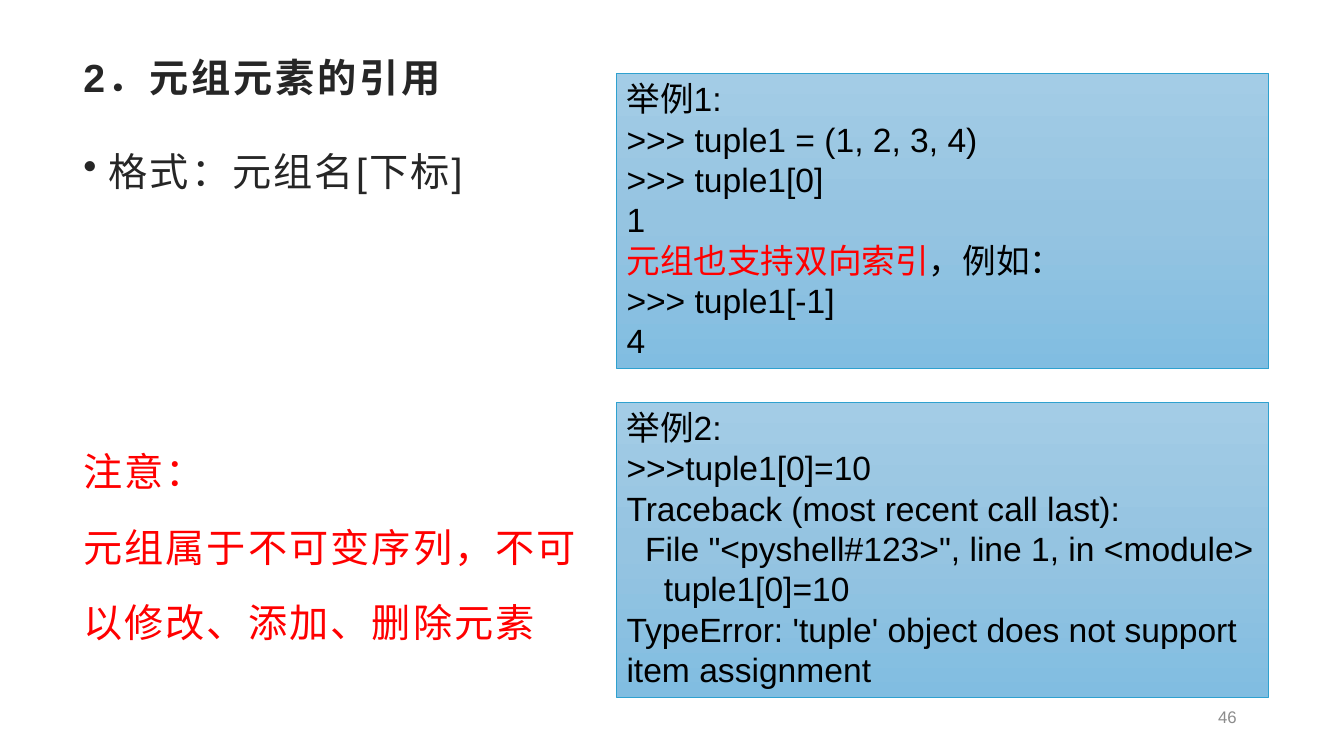
"""Build the slide on referencing tuple elements."""
import copy

import lxml.etree
import pptx
import pptx.dml.color
import pptx.enum.shapes
import pptx.enum.text
import pptx.oxml.ns
import pptx.util
from pptx.util import Cm

COLORS = {
    "heading": "262626",
    "code": "000000",
    "warning": "FF0000",
    "number": "8C8C8C",
    "panel_top": "A3CCE6",
    "panel_middle": "95C4E1",
    "panel_bottom": "81BDE1",
    "panel_edge": "2FA1CF",
}

INDEX_EXAMPLE = """举例1:
>>> tuple1 = (1, 2, 3, 4)
>>> tuple1[0]
1
元组也支持双向索引，例如：
>>> tuple1[-1]
4"""
ERROR_EXAMPLE = """举例2:
>>>tuple1[0]=10
Traceback (most recent call last):
  File "<pyshell#123>", line 1, in <module>
    tuple1[0]=10
TypeError: 'tuple' object does not support item assignment"""
TWO_WAY_INDEX = "元组也支持双向索引"


def rgb(name):
    """Return the named colour."""
    return pptx.dml.color.RGBColor.from_string(COLORS[name])


def format_runs(paragraph, size, color, bold=False, spacing=0):
    """Style each run; spacing is the letter spacing in points."""
    for run in paragraph.runs:
        run.font.name = "Arial"
        run.font.size = pptx.util.Pt(size)
        run.font.bold = bold
        run.font.color.rgb = rgb(color)
        if spacing:
            run.font._element.set("spc", str(int(spacing * 100)))


def add_text(slide, text, left, top, width, height):
    """Add a wrapping text box and return its frame."""
    frame = slide.shapes.add_textbox(Cm(left), Cm(top), Cm(width), Cm(height)).text_frame
    frame.word_wrap = True
    frame.text = text
    return frame


def add_bullet(paragraph):
    """Give the paragraph a hanging round bullet."""
    properties = paragraph._p.get_or_add_pPr()
    properties.set("marL", str(Cm(0.64)))
    properties.set("indent", str(-Cm(0.64)))
    bullet = lxml.etree.SubElement(properties, pptx.oxml.ns.qn("a:buChar"))
    bullet.set("char", "•")


def fill_gradient(panel):
    """Fill the panel with three stops running from top to bottom."""
    panel.fill.gradient()
    panel.fill.gradient_angle = 270
    stops = panel.fill._fill._gradFill.gsLst
    stops.insert(1, copy.deepcopy(stops[0]))
    names = ("panel_top", "panel_middle", "panel_bottom")
    for index, (stop, name) in enumerate(zip(panel.fill.gradient_stops, names)):
        stop.position = index / 2
        stop.color.rgb = rgb(name)


def add_example(slide, code, top):
    """Add a code panel and return its paragraphs."""
    panel = slide.shapes.add_shape(
        pptx.enum.shapes.MSO_SHAPE.RECTANGLE, Cm(15.54), Cm(top), Cm(16.43), Cm(7.44))
    panel.shadow.inherit = False
    fill_gradient(panel)
    panel.line.color.rgb = rgb("panel_edge")
    panel.line.width = pptx.util.Pt(0.5)
    frame = panel.text_frame
    frame.word_wrap = True
    frame.auto_size = pptx.enum.text.MSO_AUTO_SIZE.SHAPE_TO_FIT_TEXT
    frame.vertical_anchor = pptx.enum.text.MSO_ANCHOR.TOP
    frame.text = code
    for paragraph in frame.paragraphs:
        paragraph.alignment = pptx.enum.text.PP_ALIGN.LEFT
        format_runs(paragraph, 24, "code")
    return frame.paragraphs


def add_explanation(slide):
    """Add the reference format and the warning below it."""
    text = "格式：元组名[下标]\n注意：\n元组属于不可变序列，不可\n以修改、添加、删除元素"
    paragraphs = add_text(slide, text, 1.85, 3.23, 30.15, 14.4).paragraphs
    syntax, *warning = paragraphs
    add_bullet(syntax)
    for paragraph in paragraphs:
        paragraph.line_spacing = 1.3
        paragraph.space_after = pptx.util.Pt(10)
    format_runs(syntax, 28, "heading", spacing=1.5)
    for paragraph in warning:
        format_runs(paragraph, 28, "warning", spacing=1.5)
    warning[0].space_before = pptx.util.Pt(161)


def highlight_start(paragraph, phrase):
    """Split off the opening phrase and colour it as a warning."""
    rest = paragraph.text.removeprefix(phrase)
    paragraph.runs[0].text = phrase
    format_runs(paragraph, 24, "warning")
    paragraph.add_run().text = rest
    tail = paragraph.runs[1].font
    tail.name = "Arial"
    tail.size = pptx.util.Pt(24)
    tail.color.rgb = rgb("code")


def main():
    """Build and save the slide."""
    deck = pptx.Presentation()
    deck.slide_width, deck.slide_height = Cm(33.87), Cm(19.05)
    slide = deck.slides.add_slide(deck.slide_layouts[6])

    heading = add_text(slide, "2．元组元素的引用", 1.85, 1.22, 30.15, 1.98)
    format_runs(heading.paragraphs[0], 28, "heading", bold=True, spacing=2)
    add_explanation(slide)

    index_lines = add_example(slide, INDEX_EXAMPLE, 1.85)
    highlight_start(index_lines[4], TWO_WAY_INDEX)
    add_example(slide, ERROR_EXAMPLE, 10.13)

    page = add_text(slide, "46", 23.93, 17.63, 7.49, 0.89)
    page.vertical_anchor = pptx.enum.text.MSO_ANCHOR.MIDDLE
    page.paragraphs[0].alignment = pptx.enum.text.PP_ALIGN.RIGHT
    format_runs(page.paragraphs[0], 12, "number")

    deck.save("out.pptx")


if __name__ == "__main__":
    main()
